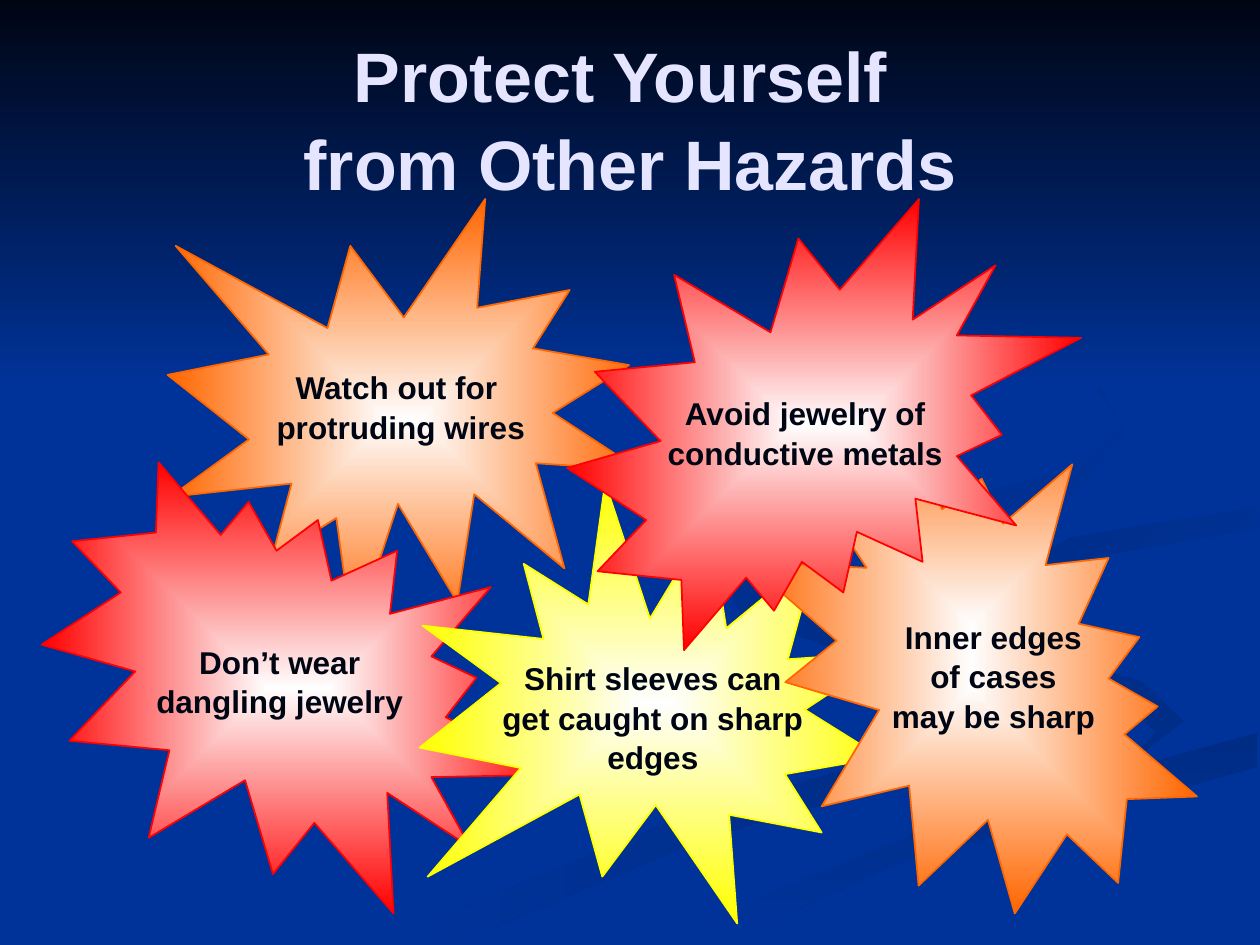
from dataclasses import dataclass

from lxml import etree
from pptx import Presentation
from pptx.dml.color import RGBColor
from pptx.enum.shapes import MSO_SHAPE
from pptx.enum.text import MSO_ANCHOR, MSO_AUTO_SIZE, PP_ALIGN
from pptx.oxml.ns import qn
from pptx.util import Inches, Pt

STAR, BLAST = MSO_SHAPE.EXPLOSION1, MSO_SHAPE.EXPLOSION2
BOX = MSO_SHAPE.RECTANGLE
CENTER, MIDDLE = PP_ALIGN.CENTER, MSO_ANCHOR.MIDDLE
NO_FIT = MSO_AUTO_SIZE.NONE


@dataclass(frozen=True)
class Theme:
    """Colours, font and type sizes of the slide."""
    blue: str = "003399"
    navy: str = "002C85"
    ink: str = "000514"
    pale: str = "E5E5FF"
    glow: str = "FEFEFE"
    orange: str = "FF6600"
    red: str = "FF0000"
    yellow: str = "FFFF00"
    font: str = "Arial"
    head: int = 40
    body: int = 18
    lead: float = 1.05


THEME = Theme()

SWOOSHES = [
    (THEME.navy, THEME.blue, 180, [
        (5.75, 4.59), (5.9, 4.9), (7.6, 5.47), (7.8, 5.79), (5.4, 6.49),
        (3, 7.49), (3.61, 7.49), (5.6, 6.65), (7.9, 6), (7.8, 5.53)]),
    (THEME.navy, THEME.blue, 225, [
        (7.24, 4.64), (7.6, 5.1), (8.8, 5.49), (9.18, 5.81), (8.94, 6.05),
        (9.43, 5.76), (9.05, 5.4), (7.6, 4.98)]),
    (THEME.navy, THEME.blue, 90, [
        (5.03, 7.49), (5.71, 7.49), (7.2, 6.82), (9.98, 6.09), (9.98, 5.81),
        (7.64, 6.47), (6.3, 6.93)]),
    (THEME.blue, THEME.blue, 0, [
        (7.25, 4.64), (7.6, 4.98), (9.05, 5.4), (9.43, 5.7), (9, 6.03),
        (6.6, 6.68), (4.77, 7.49), (5.19, 7.47), (7.6, 6.47), (9.99, 5.81),
        (9.99, 5.38), (8.3, 4.98), (7.81, 4.63), (8.5, 4.27), (9.99, 4.02),
        (9.99, 3.87), (8.1, 4.17)]),
    (THEME.blue, THEME.navy, 225, [
        (7.81, 4.6), (8.26, 4.96), (8.05, 4.72), (8.6, 4.43), (9.98, 4.2),
        (9.98, 4.02), (8.5, 4.27)]),
    (THEME.blue, THEME.navy, 225, [
        (7.62, 2.33), (8.5, 2.8), (8.89, 3.35), (8.5, 3.74), (6.2, 4.26),
        (5.77, 4.62), (6.22, 5), (5.93, 4.7), (6.5, 4.36), (8.5, 3.93),
        (8.94, 3.44), (8.64, 2.91)]),
]


def shade(shape, start, end, angle=None):
    """Fill with a linear gradient, or from the centre if no angle is given."""
    shape.shadow.inherit = False
    fill = shape.fill
    fill.gradient()
    for stop, tone in zip(fill.gradient_stops, (start, end)):
        stop.color.rgb = RGBColor.from_string(tone)
    if angle is not None:
        fill.gradient_angle = 360 - angle
        return
    line = shape._element.spPr.find(".//" + qn("a:lin"))
    ring = etree.Element(qn("a:path"), {"path": "rect"})
    etree.SubElement(ring, qn("a:fillToRect"), {side: "50000" for side in "ltrb"})
    line.getparent().replace(line, ring)


def write(frame, lines, size, tone):
    """Set centred bold lines in one paragraph."""
    frame.vertical_anchor = MIDDLE
    para = frame.paragraphs[0]
    para.alignment = CENTER
    para.line_spacing = THEME.lead
    for num, text in enumerate(lines):
        if num:
            para.add_line_break()
        run = para.add_run()
        run.text = text
        font = run.font
        font.name, font.size, font.bold = THEME.font, Pt(size), True
        font.color.rgb = RGBColor.from_string(tone)


def draw_back(slide, left, top, width, height):
    """Lay the blue ground, its swooshes and the dark band on top."""
    ground = slide.background.fill
    ground.solid()
    ground.fore_color.rgb = RGBColor.from_string(THEME.blue)
    for start, end, angle, points in SWOOSHES:
        spots = [(left + Inches(x), top + Inches(y)) for x, y in points]
        pen = slide.shapes.build_freeform(*spots[0])
        pen.add_line_segments(spots[1:], close=True)
        swoosh = pen.convert_to_shape()
        shade(swoosh, start, end, angle)
        swoosh.line.fill.background()
    band = slide.shapes.add_shape(BOX, left, top, width, height)
    shade(band, THEME.ink, THEME.blue, 90)
    band.line.fill.background()


def draw_title(slide, left, top, width, height, lines):
    """Place the title above all that is drawn so far."""
    title = slide.shapes.title
    slide.shapes._spTree.append(title._element)
    title.left, title.top, title.width, title.height = left, top, width, height
    title.text_frame.auto_size = NO_FIT
    write(title.text_frame, lines, THEME.head, THEME.pale)


def draw_burst(slide, left, top, width, height, kind, tone, lines, pose=None):
    """Draw a burst, upright, flipped or turned, with upright text."""
    burst = slide.shapes.add_shape(kind, left, top, width, height)
    shade(burst, THEME.glow, tone)
    burst.line.color.rgb = RGBColor.from_string(tone)
    burst.line.width = Pt(1)
    frame = burst.text_frame
    frame.word_wrap = False
    write(frame, lines, THEME.body, THEME.ink)
    body = frame._txBody.bodyPr
    if pose == "flip":
        burst._element.spPr.xfrm.set("flipV", "1")
        body.set("rot", "10800000")
    elif pose == "turn":
        burst.rotation = 270
        body.set("vert", "eaVert")
        frame.margin_left = frame.margin_right = Inches(0.05)
        frame.margin_top = frame.margin_bottom = Inches(0.1)


def main():
    """Build the slide and save it."""
    deck = Presentation()
    deck.slide_width, deck.slide_height = Inches(10), Inches(7.5)
    slide = deck.slides.add_slide(deck.slide_layouts[5])
    star = Inches(3.75), Inches(3.5)
    blast = Inches(4.08), Inches(3.58)
    draw_back(slide, 0, 0, Inches(10), Inches(3.08))
    draw_burst(slide, Inches(1.33), Inches(1.58), *star, STAR, THEME.orange,
               ["Watch out for ", "protruding wires"])
    draw_burst(slide, Inches(0.33), Inches(3.67), *blast, BLAST, THEME.red,
               ["Don’t wear", "dangling jewelry"], "flip")
    draw_burst(slide, Inches(3.33), Inches(3.83), *star, STAR, THEME.yellow,
               ["Shirt sleeves can", "get caught on sharp", "edges"], "flip")
    draw_title(slide, Inches(0.5), Inches(0.3), Inches(9), Inches(1.25),
               ["Protect Yourself ", "from Other Hazards"])
    draw_burst(slide, Inches(5.67), Inches(3.42), *blast, BLAST, THEME.orange,
               ["Inner edges", "of cases", "may be sharp"], "turn")
    draw_burst(slide, Inches(4.5), Inches(1.58), *blast, BLAST, THEME.red,
               ["Avoid jewelry of", "conductive metals"])
    deck.save("out.pptx")


if __name__ == "__main__":
    main()
